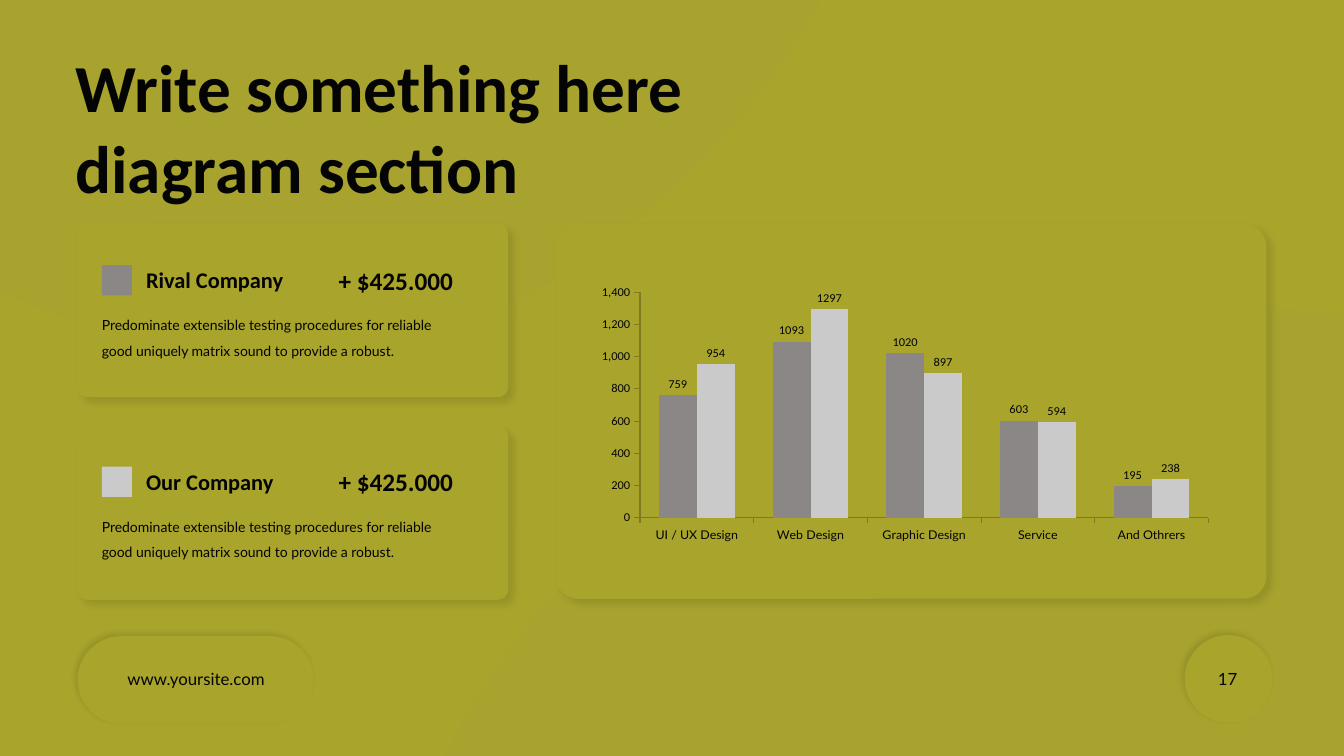
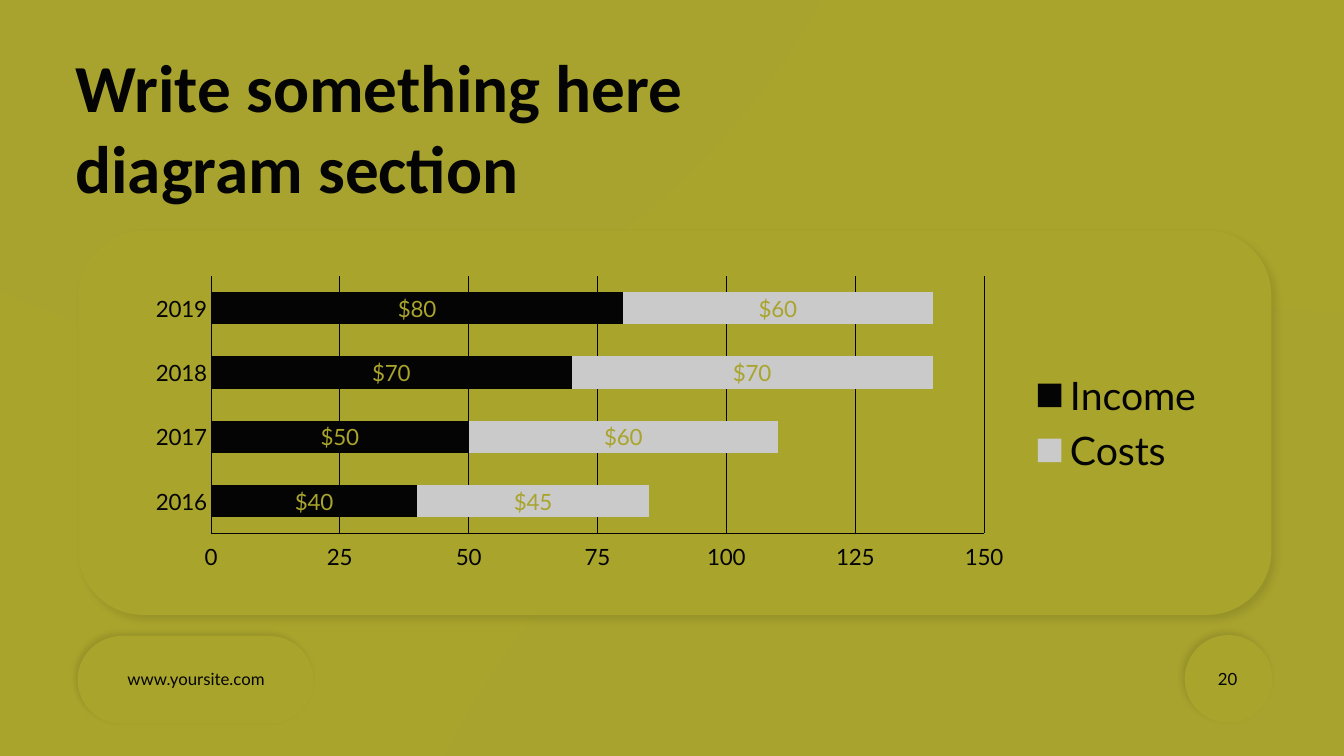
from lxml.etree import SubElement
from pptx import Presentation
from pptx.chart.data import CategoryChartData
from pptx.dml.color import RGBColor
from pptx.enum.chart import XL_CHART_TYPE as ChartType
from pptx.enum.chart import XL_LABEL_POSITION as LabelSpot
from pptx.enum.chart import XL_LEGEND_POSITION as LegendSpot
from pptx.enum.chart import XL_TICK_LABEL_POSITION as TickLabelSpot
from pptx.enum.chart import XL_TICK_MARK as TickMark
from pptx.enum.shapes import MSO_SHAPE as Preset
from pptx.enum.text import MSO_ANCHOR as Anchor
from pptx.enum.text import PP_ALIGN as Align
from pptx.oxml.ns import qn
from pptx.util import Inches, Pt

COLORS = {
    "olive": "A9A42C",
    "ink": "040404",
    "black": "000000",
    "gray": "8C8787",
    "silver": "CACACA",
    "axis": "7F7B21",
}
RGB = {name: RGBColor.from_string(value) for name, value in COLORS.items()}
PRESSED = ("ink", 4, 3, 225)
RAISED = ("black", 5, 5, 45)
TITLE = "Write something here\vdiagram section"
SITE = "www.yoursite.com"
BODY = (
    "Predominate extensible testing procedures for reliable "
    "good uniquely matrix sound to provide a robust."
)
BLOBS = [
    [(8.52, -2.22), (9.06, -0.6), (7.17, 1.84), (5.26, 2.92),
     (3.34, 3.99), (1.41, 3.72), (-1.24, 2.29),
     (-3.9, 0.88), (-7.27, -1.7), (-6.83, -3.2),
     (-6.41, -4.7), (-2.16, -5.1), (1.44, -4.9),
     (5.04, -4.68), (7.99, -3.85), (8.52, -2.22)],
    [(19.8, 6.97), (20.57, 9.45), (18.28, 12.8), (15.15, 15.1),
     (12.02, 17.4), (8.06, 18.62), (5.77, 17.07),
     (3.5, 15.52), (2.92, 11.2), (4.13, 8.12),
     (5.34, 5.04), (8.36, 3.2), (11.78, 3.06),
     (15.2, 2.93), (19.04, 4.51), (19.8, 6.97)],
]

SLIDES = [
    {
        "number": "17",
        "panels": [
            ((5.51, 2.22, 7.05, 3.72), 0.061, (5.61, 2.31, 6.87, 3.54), 0.046),
            ((0.77, 4.23, 4.27, 1.72), 0.061, (0.86, 4.32, 4.11, 1.54), 0.046),
            ((0.77, 2.22, 4.27, 1.72), 0.061, (0.86, 2.31, 4.11, 1.54), 0.046),
        ],
        "entries": [("Rival Company", "gray", 2.63), ("Our Company", "silver", 4.63)],
        "type": ChartType.COLUMN_CLUSTERED,
        "at": (5.97, 2.83, 6.02, 2.55),
        "categories": ["UI / UX Design", "Web Design", "Graphic Design", "Service", "And Othrers"],
        "series": [
            ("Series 1", [759, 1093, 1020, 603, 195], "gray"),
            ("Series 2", [954, 1297, 897, 594, 238], "silver"),
        ],
        "overlap": 0,
        "axis": ("axis", 0.75, TickMark.OUTSIDE, 9),
        "value_font": "Calibri",
        "scale": (0, 1400, 200, "#,##0"),
        "labels": (LabelSpot.OUTSIDE_END, "General", 9, "ink", "Calibri"),
        "legend": False,
        "plot": {"x": 0.049, "y": 0.002, "w": 0.951, "h": 0.915},
    },
    {
        "number": "20",
        "panels": [((0.78, 2.29, 11.83, 3.81), 0.167, (0.96, 2.43, 11.48, 3.52), 0.139)],
        "entries": [],
        "type": ChartType.BAR_STACKED,
        "at": (1.33, 2.68, 10.74, 3.03),
        "categories": ["2016", "2017", "2018", "2019"],
        "series": [
            ("Income", [40, 50, 70, 80], "ink"),
            ("Costs", [45, 60, 70, 60], "silver"),
        ],
        "overlap": 100,
        "axis": ("ink", 0.5, TickMark.NONE, 16),
        "value_font": "Lato",
        "scale": (0, 150, 25, "General"),
        "labels": (LabelSpot.CENTER, "[$$-409]#,##0", 16, "olive", "Lato"),
        "legend": True,
        "plot": None,
    },
]


def paint(shape, color, shadow=None):
    shape.fill.solid()
    shape.fill.fore_color.rgb = RGB[color]
    shape.line.fill.background()
    shape.shadow.inherit = False
    if shadow:
        tint, blur, distance, angle = shadow
        effects = shape.element.spPr.find(qn("a:effectLst"))
        outer = SubElement(effects, qn("a:outerShdw"), blurRad=str(Pt(blur)), dist=str(Pt(distance)),
                           dir=str(angle * 60000), algn="ctr", rotWithShape="0")
        clr = SubElement(outer, qn("a:srgbClr"), val=COLORS[tint])
        SubElement(clr, qn("a:alpha"), val="10000")


def write(page, at, text, size, font, bold=False, align=Align.LEFT, inset=0.0):
    box = page.shapes.add_textbox(*map(Inches, at))
    frame = box.text_frame
    frame.word_wrap = True
    frame.margin_left = frame.margin_right = Inches(inset)
    frame.margin_top = frame.margin_bottom = Inches(inset / 2)
    para = frame.paragraphs[0]
    para.text = text
    para.alignment = align
    para.font.size = Pt(size)
    para.font.name = font
    para.font.bold = bold
    para.font.color.rgb = RGB["ink"]
    return box


deck = Presentation()
deck.slide_width, deck.slide_height = Inches(13.33), Inches(7.5)
deck.slide_master.background.fill.solid()
deck.slide_master.background.fill.fore_color.rgb = RGB["olive"]

for content in SLIDES:
    page = deck.slides.add_slide(deck.slide_layouts[6])

    for points in BLOBS:
        builder = page.shapes.build_freeform(*map(Inches, points[0]))
        builder.add_line_segments([tuple(map(Inches, point)) for point in points[3::3]], close=True)
        blob = builder.convert_to_shape()
        for index, segment in enumerate(list(blob.element.iter(qn("a:lnTo")))):
            segment.tag = qn("a:cubicBezTo")
            segment.remove(segment[0])
            for x, y in points[3 * index + 1:3 * index + 4]:
                SubElement(segment, qn("a:pt"), x=str(Inches(x) - blob.left), y=str(Inches(y) - blob.top))
        paint(blob, "gray")
        clr = blob.element.spPr.find(qn("a:solidFill"))[0]
        SubElement(clr, qn("a:alpha"), val="3000")

    badge = page.shapes.add_shape(Preset.OVAL, *map(Inches, (11.75, 6.3, 0.87, 0.87)))
    paint(badge, "olive", PRESSED)
    number = write(page, (9.37, 6.53, 3, 0.4), content["number"], 12, "Lato", align=Align.RIGHT, inset=0.1)
    number.text_frame.vertical_anchor = Anchor.MIDDLE
    pill = page.shapes.add_shape(Preset.ROUNDED_RECTANGLE, *map(Inches, (0.77, 6.31, 2.34, 0.87)))
    pill.adjustments[0] = 0.5
    paint(pill, "olive", PRESSED)
    site = write(page, (1.15, 6.59, 1.59, 0.3), SITE, 12, "Lato", align=Align.CENTER, inset=0.1)
    site.text_frame.word_wrap = False

    for outer_at, outer_round, inner_at, inner_round in content["panels"]:
        for at, rounding, shadow in ((outer_at, outer_round, RAISED), (inner_at, inner_round, None)):
            panel = page.shapes.add_shape(Preset.ROUNDED_RECTANGLE, *map(Inches, at))
            panel.adjustments[0] = rounding
            paint(panel, "olive", shadow)

    write(page, (0.65, 0.4, 9.48, 1.72), TITLE, 48, "Calibri", bold=True, inset=0.1)

    for company, color, top in content["entries"]:
        write(page, (3.36, top, 1.6, 0.3), "+ $425.000", 18, "Calibri", bold=True)
        swatch = page.shapes.add_shape(Preset.RECTANGLE, *map(Inches, (1.01, top, 0.3, 0.3)))
        paint(swatch, color)
        write(page, (1.45, top + 0.01, 1.8, 0.27), company, 16, "Calibri", bold=True)
        body = write(page, (1.01, top + 0.43, 3.47, 0.48), BODY, 10, "Lato")
        body.text_frame.paragraphs[0].line_spacing = 1.5

    data = CategoryChartData()
    data.categories = content["categories"]
    for name, values, color in content["series"]:
        data.add_series(name, values)
    chart = page.shapes.add_chart(content["type"], *map(Inches, content["at"]), data).chart
    chart.has_title = False
    chart.font.name = "Lato"
    chart.font.size = Pt(10)
    chart.font.color.rgb = RGB["ink"]
    chart.has_legend = content["legend"]
    if chart.has_legend:
        chart.legend.position = LegendSpot.RIGHT
        chart.legend.include_in_layout = False
        chart.legend.font.size = Pt(28)
        chart.legend.font.name = "Lato"
        chart.legend.font.color.rgb = RGB["ink"]

    line_color, line_width, tick, axis_size = content["axis"]
    for axis, font in ((chart.category_axis, "Lato"), (chart.value_axis, content["value_font"])):
        axis.major_tick_mark = tick
        axis.minor_tick_mark = TickMark.NONE
        axis.format.line.color.rgb = RGB[line_color]
        axis.format.line.width = Pt(line_width)
        axis.tick_labels.font.size = Pt(axis_size)
        axis.tick_labels.font.name = font
        axis.tick_labels.font.color.rgb = RGB["ink"]

    scale = chart.value_axis
    scale.minimum_scale, scale.maximum_scale, scale.major_unit, number_format = content["scale"]
    scale.tick_labels.number_format = number_format
    scale.tick_labels.number_format_is_linked = False
    scale.has_major_gridlines = content["legend"]
    if scale.has_major_gridlines:
        scale.tick_label_position = TickLabelSpot.LOW
        scale.major_gridlines.format.line.color.rgb = RGB["ink"]
        scale.major_gridlines.format.line.width = Pt(0.5)

    plot = chart.plots[0]
    plot.gap_width = 100
    plot.overlap = content["overlap"]
    plot.vary_by_categories = False
    spot, label_format, label_size, label_color, label_font = content["labels"]
    for series, (name, values, color) in zip(plot.series, content["series"]):
        series.format.fill.solid()
        series.format.fill.fore_color.rgb = RGB[color]
        labels = series.data_labels
        labels.show_value = True
        labels.position = spot
        labels.number_format = label_format
        labels.number_format_is_linked = False
        labels.font.size = Pt(label_size)
        labels.font.name = label_font
        labels.font.color.rgb = RGB[label_color]

    if content["plot"]:
        area = chart.element.chart.plotArea
        layout = area.find(qn("c:layout"))
        if layout is None:
            layout = SubElement(area, qn("c:layout"))
            area.insert(0, layout)
        manual = SubElement(layout, qn("c:manualLayout"))
        SubElement(manual, qn("c:layoutTarget"), val="inner")
        for side in "xy":
            SubElement(manual, qn(f"c:{side}Mode"), val="edge")
        for side, share in content["plot"].items():
            SubElement(manual, qn(f"c:{side}"), val=str(share))

deck.save("out.pptx")
